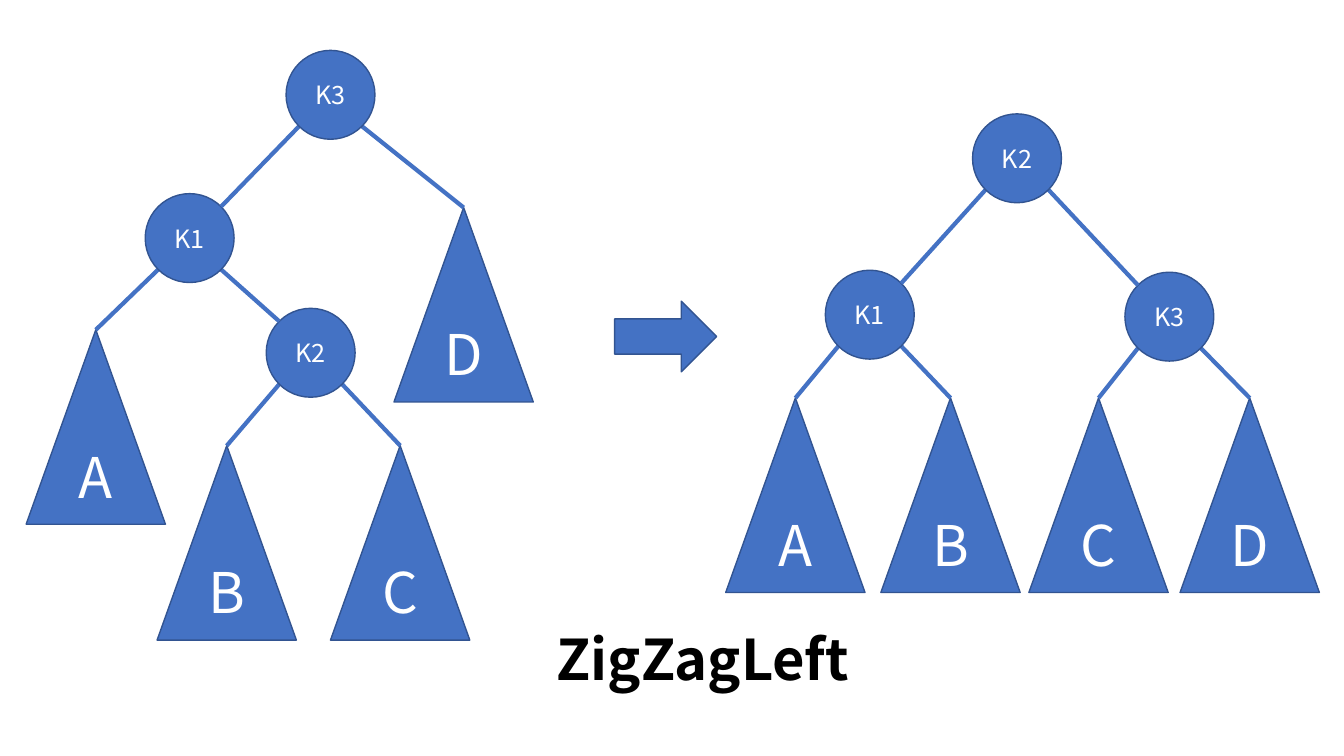
"""Build a slide showing the ZigZagLeft double rotation of a splay tree."""
import math

import pptx
import pptx.dml.color
import pptx.enum.shapes
import pptx.enum.text
import pptx.oxml
import pptx.oxml.ns
import pptx.util

Cm = pptx.util.Cm
Pt = pptx.util.Pt
SHAPE = pptx.enum.shapes.MSO_SHAPE

FONT = "Noto Sans CJK SC"
COLORS = {"fill": "4472C4", "outline": "325491", "label": "FFFFFF", "title": "000000"}
NODE = 2.24
LEAF_W, LEAF_H = 3.51, 4.9
EDGE_NEAR = NODE * (1 - math.sqrt(0.5)) / 2
EDGE_FAR = NODE - EDGE_NEAR

BEFORE = ("K3", 7.21, 1.27, [
    ("K1", 3.66, 4.88, [
        ("A", 0.66, 8.31, []),
        ("K2", 6.71, 7.77, [("B", 3.96, 11.23, []), ("C", 8.33, 11.23, [])]),
    ]),
    ("D", 9.93, 5.23, []),
])
AFTER = ("K2", 24.51, 2.87, [
    ("K1", 20.8, 6.81, [("A", 18.29, 10.03, []), ("B", 22.2, 10.03, [])]),
    ("K3", 28.35, 6.86, [("C", 25.93, 10.03, []), ("D", 29.74, 10.03, [])]),
])


def rgb(name):
    return pptx.dml.color.RGBColor.from_string(COLORS[name])


def format_runs(p, size, color, bold=False):
    for r in p.runs:
        r.font.name = FONT
        r.font.size = Pt(size)
        r.font.bold = bold
        r.font.color.rgb = rgb(color)


def add_block(s, kind, x, y, w, h, label="", size=18):
    sp = s.shapes.add_shape(kind, Cm(x), Cm(y), Cm(w), Cm(h))
    sp.shadow.inherit = False
    sp.fill.solid()
    sp.fill.fore_color.rgb = rgb("fill")
    sp.line.color.rgb = rgb("outline")
    sp.line.width = Pt(1)
    if label:
        tf = sp.text_frame
        tf.text = label
        tf.vertical_anchor = pptx.enum.text.MSO_ANCHOR.MIDDLE
        p = tf.paragraphs[0]
        p.alignment = pptx.enum.text.PP_ALIGN.CENTER
        format_runs(p, size, "label")
    return sp


def add_edge(s, x1, y1, x2, y2):
    line = s.shapes.add_connector(
        pptx.enum.shapes.MSO_CONNECTOR.STRAIGHT, Cm(x1), Cm(y1), Cm(x2), Cm(y2))
    line.line.color.rgb = rgb("fill")
    line.line.width = Pt(3)
    line._element.spPr.append(
        pptx.oxml.parse_xml("<a:effectLst %s/>" % pptx.oxml.ns.nsdecls("a")))
    return line


def add_tree(s, tree):
    label, x, y, children = tree
    if not children:
        return add_block(s, SHAPE.ISOSCELES_TRIANGLE, x, y, LEAF_W, LEAF_H, label, 40)
    sides = (EDGE_NEAR, EDGE_FAR)
    for start, end, child in zip(sides, reversed(sides), children):
        _, child_x, child_y, grandchildren = child
        child_sp = add_tree(s, child)
        line = add_edge(s, x + start, y + EDGE_FAR, child_x + end, child_y + EDGE_NEAR)
        if not grandchildren:
            line.end_connect(child_sp, 0)
    return add_block(s, SHAPE.FLOWCHART_CONNECTOR, x, y, NODE, NODE, label)


def set_title(s, text, x, y, w, h):
    sp = s.shapes.title
    sp.left, sp.top, sp.width, sp.height = Cm(x), Cm(y), Cm(w), Cm(h)
    tf = sp.text_frame
    tf.text = text
    tf.word_wrap = True
    tf.auto_size = pptx.enum.text.MSO_AUTO_SIZE.NONE
    tf.vertical_anchor = pptx.enum.text.MSO_ANCHOR.TOP
    p = tf.paragraphs[0]
    p.alignment = pptx.enum.text.PP_ALIGN.LEFT
    format_runs(p, 40, "title", bold=True)


def main():
    prs = pptx.Presentation()
    prs.slide_width, prs.slide_height = Cm(33.87), Cm(19.05)
    s = prs.slides.add_slide(prs.slide_layouts[5])
    set_title(s, "ZigZagLeft", 13.77, 15.62, 8.03, 1.96)
    add_tree(s, BEFORE)
    add_block(s, SHAPE.RIGHT_ARROW, 15.49, 7.59, 2.57, 1.78)
    add_tree(s, AFTER)
    prs.save("out.pptx")


if __name__ == "__main__":
    main()
